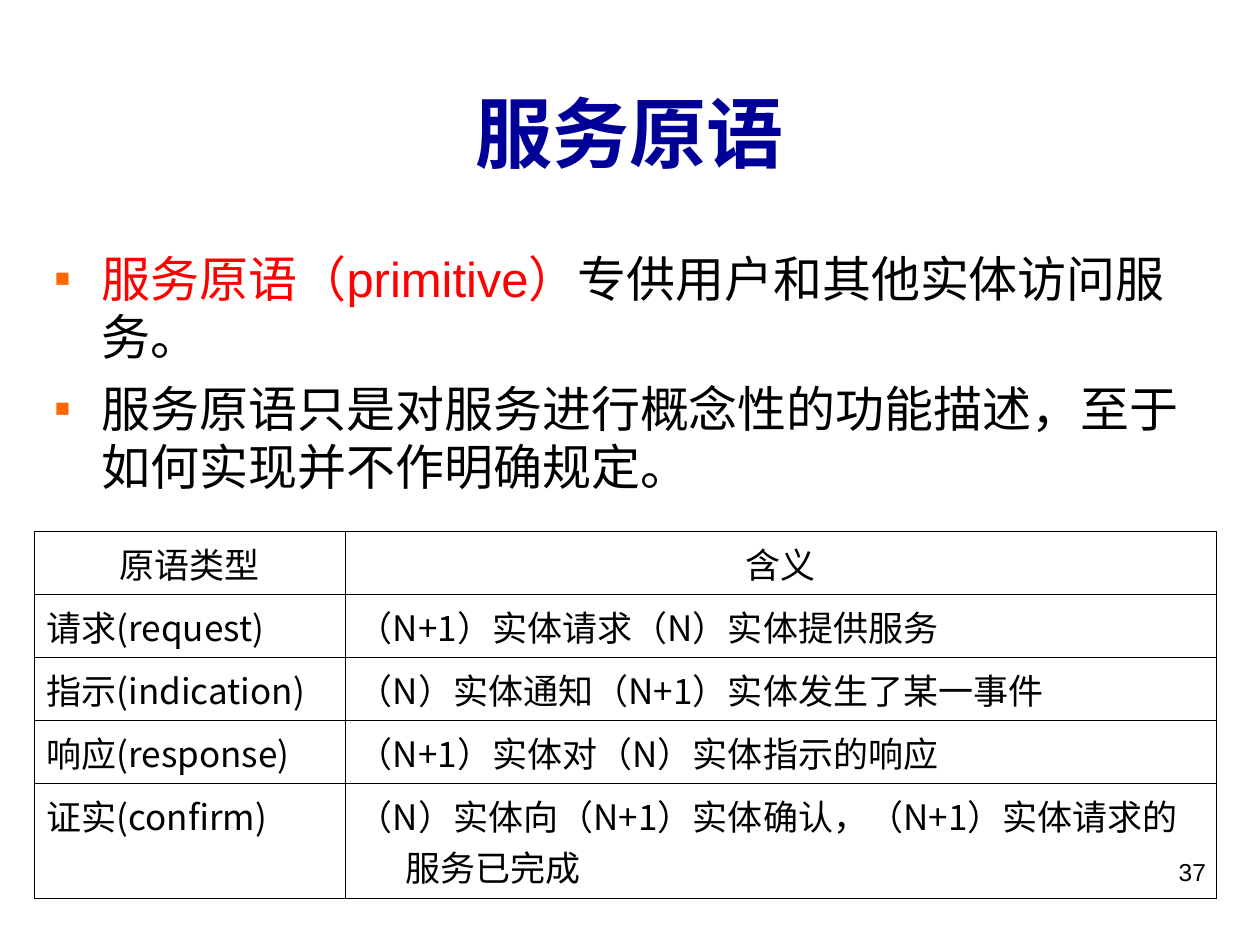
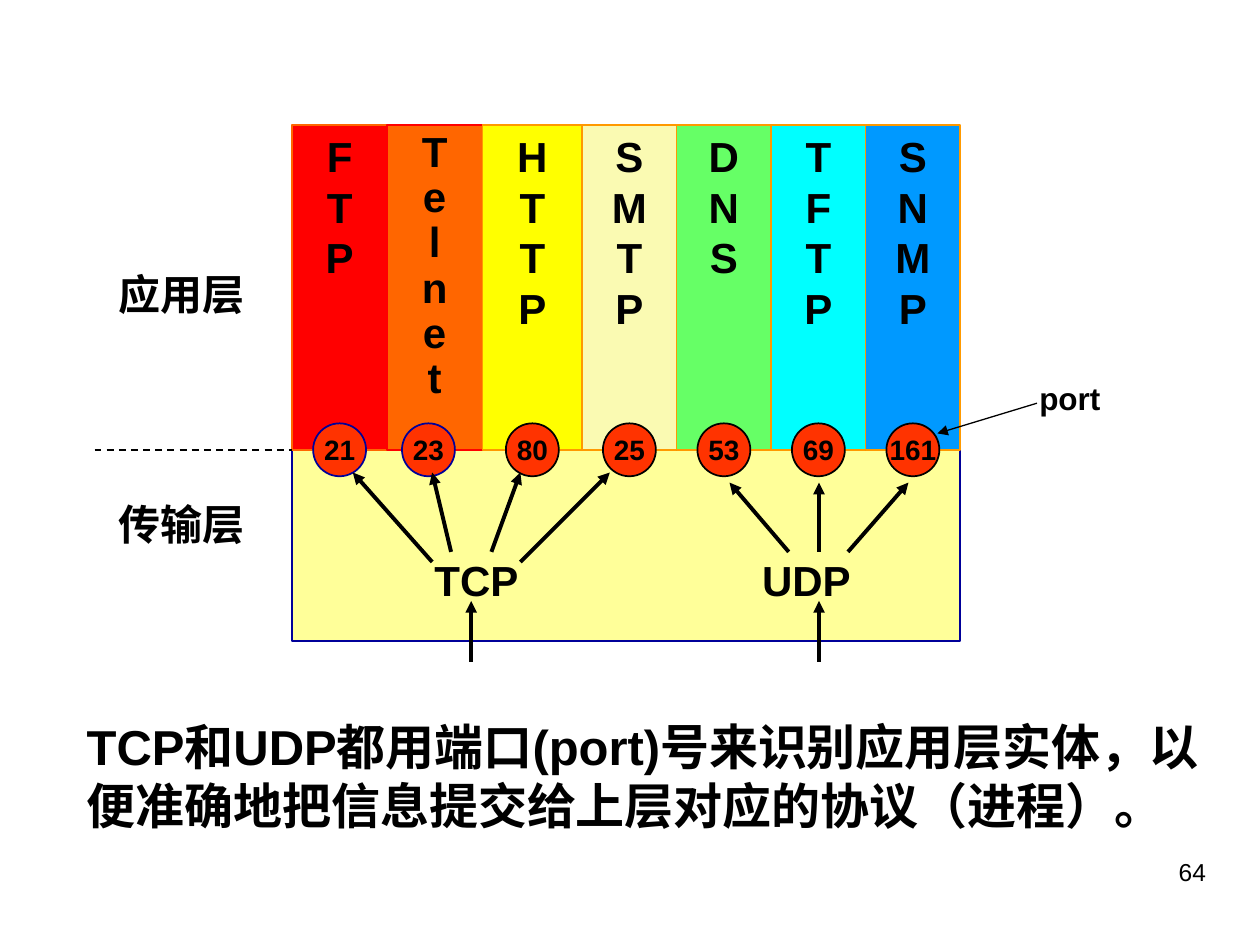
from dataclasses import dataclass
from itertools import accumulate

from lxml.etree import SubElement
from pptx import Presentation
from pptx.dml.color import RGBColor
from pptx.enum.dml import MSO_LINE
from pptx.enum.shapes import MSO_CONNECTOR, MSO_SHAPE
from pptx.enum.text import MSO_ANCHOR as ANCHOR, PP_ALIGN as ALIGN
from pptx.oxml.ns import qn
from pptx.util import Inches, Pt


@dataclass(frozen=True)
class Theme:
    latin: str = "Arial"
    table_font: str = "Noto Sans CJK SC"
    ink: str = "000000"
    navy: str = "000099"
    accent: str = "FF0000"
    bullet: str = "FF6600"
    port: str = "FF3300"
    transport: str = "FFFF99"
    edge: str = "FF9900"
    title: int = 44
    body: int = 28
    label: int = 24
    cell: int = 20
    note: int = 18
    port_size: int = 16
    page: int = 14
    hang: float = 0.38


T = Theme()

# Slide 1: paragraphs are lists of (text, colour) runs
TITLE = "服务原语"
POINTS = [
    [("服务原语（primitive）", T.accent), ("专供用户和其他实体访问服务。", T.ink)],
    [("服务原语只是对服务进行概念性的功能描述，至于如何实现并不作明确规定。", T.ink)],
]
PRIMITIVES = [
    ("原语类型", "含义"),
    ("请求(request)", "（N+1）实体请求（N）实体提供服务"),
    ("指示(indication)", "（N）实体通知（N+1）实体发生了某一事件"),
    ("响应(response)", "（N+1）实体对（N）实体指示的响应"),
    ("证实(confirm)", "（N）实体向（N+1）实体确认，（N+1）实体请求的服务已完成"),
]
TABLE_COLS = (2.47, 6.91)
TABLE_ROWS = (0.5, 0.5, 0.5, 0.5, 0.91)

# Slide 2: name, port, column width, fill, edge, port edge
PROTOCOLS = [
    ("FTP", "21", 0.75, "FF0000", "FF6600", T.navy),
    ("Telnet", "23", 0.76, "FF6600", "FF0000", T.navy),
    ("HTTP", "80", 0.79, "FFFF00", T.edge, T.ink),
    ("SMTP", "25", 0.75, "FAFAB2", T.edge, T.ink),
    ("DNS", "53", 0.75, "66FF66", T.edge, T.ink),
    ("TFTP", "69", 0.75, "00FFFF", T.edge, T.ink),
    ("SNMP", "161", 0.75, "0099FF", T.edge, T.ink),
]
STACK_LEFT, STACK_TOP, BOUNDARY, STACK_BOTTOM = 2.32, 0.99, 3.57, 5.09
PORT_D = 0.42
LABELS = [  # text, left, top, width, size
    ("应用层", 0.84, 2.08, 1.25, T.label),
    ("传输层", 0.84, 3.91, 1.25, T.label),
    ("TCP", 3.35, 4.35, 1, T.label),
    ("UDP", 5.95, 4.35, 1, T.label),
    ("port", 8.15, 2.96, 0.8, T.note),
]
ARROWS = [  # start, end
    ((3.43, 4.46), (2.8, 3.75)),
    ((3.58, 4.38), (3.43, 3.75)),
    ((3.9, 4.38), (4.13, 3.75)),
    ((4.13, 4.46), (4.84, 3.75)),
    ((6.26, 4.38), (5.79, 3.83)),
    ((6.5, 4.38), (6.5, 3.83)),
    ((6.73, 4.38), (7.21, 3.83)),
    ((3.74, 5.25), (3.74, 4.77)),
    ((6.5, 5.25), (6.5, 4.77)),
]
SUMMARY = ("TCP和UDP都用端口(port)号来识别应用层实体，"
           "以便准确地把信息提交给上层对应的协议（进程）。")


def rgb(color):
    return RGBColor.from_string(color)


def inches(*values):
    return [Inches(v) for v in values]


def add_run(p, text, size, color=T.ink, bold=False, font=T.latin):
    r = p.add_run()
    r.text = text
    r.font.name, r.font.size, r.font.bold = font, Pt(size), bold
    r.font.color.rgb = rgb(color)
    SubElement(r.font._element, qn("a:ea"), typeface=font)


def set_hanging(p, bullet=None):
    pPr = p._p.get_or_add_pPr()
    pPr.set("marL", str(Inches(T.hang)))
    pPr.set("indent", str(-Inches(T.hang)))
    if bullet:
        clr = SubElement(pPr, qn("a:buClr"))
        SubElement(clr, qn("a:srgbClr"), val=T.bullet)
        SubElement(pPr, qn("a:buFont"), typeface=T.latin)
        SubElement(pPr, qn("a:buChar"), char=bullet)


def fill_text(tf, paragraphs, size, bold=True, align=ALIGN.LEFT,
              leading=1.0, before=0, bullet=None):
    """Write paragraphs, each a list of (text, colour) runs."""
    for i, runs in enumerate(paragraphs):
        p = tf.add_paragraph() if i else tf.paragraphs[0]
        p.alignment, p.line_spacing = align, leading
        if i and before:
            p.space_before = Pt(before)
        if bullet:
            set_hanging(p, bullet)
        for text, color in runs:
            add_run(p, text, size, color, bold)


def add_text(s, box, paragraphs, size, **style):
    tf = s.shapes.add_textbox(*inches(*box)).text_frame
    tf.word_wrap = True
    fill_text(tf, paragraphs, size, **style)


def add_page_number(s, number):
    add_text(s, (7.17, 6.75, 2.5, 0.52), [[(number, T.ink)]], T.page,
             bold=False, align=ALIGN.RIGHT)


def add_block(s, kind, box, fill, edge):
    sp = s.shapes.add_shape(kind, *inches(*box))
    sp.shadow.inherit = False
    sp.fill.solid()
    sp.fill.fore_color.rgb = rgb(fill)
    sp.line.color.rgb = rgb(edge)
    sp.line.width = Pt(1)
    sp.text_frame.word_wrap = False
    return sp


def add_line(s, start, end, width, arrow=True):
    ln = s.shapes.add_connector(MSO_CONNECTOR.STRAIGHT, *inches(*start, *end))
    ln.line.color.rgb = rgb(T.ink)
    ln.line.width = Pt(width)
    SubElement(ln._element.spPr, qn("a:effectLst"))
    if arrow:
        SubElement(ln.line._get_or_add_ln(), qn("a:tailEnd"), type="triangle")
    else:
        ln.line.dash_style = MSO_LINE.DASH


def outline_cell(cell):
    tcPr = cell._tc.get_or_add_tcPr()
    for side in ("a:lnL", "a:lnR", "a:lnT", "a:lnB"):
        ln = SubElement(tcPr, qn(side), w=str(Pt(0.45)))
        SubElement(SubElement(ln, qn("a:solidFill")), qn("a:srgbClr"), val=T.ink)
    cell.fill.background()


def add_primitive_table(s):
    box = inches(0.27, 4.22, sum(TABLE_COLS), sum(TABLE_ROWS))
    table = s.shapes.add_table(len(TABLE_ROWS), len(TABLE_COLS), *box).table
    table.first_row = table.horz_banding = False
    for col, width in zip(table.columns, TABLE_COLS):
        col.width = Inches(width)
    for i, (row, height) in enumerate(zip(table.rows, TABLE_ROWS)):
        row.height = Inches(height)
        for cell, text in zip(row.cells, PRIMITIVES[i]):
            outline_cell(cell)
            p = cell.text_frame.paragraphs[0]
            p.alignment = ALIGN.LEFT if i else ALIGN.CENTER
            set_hanging(p)
            add_run(p, text, T.cell, font=T.table_font)


def build_primitives(prs):
    s = prs.slides.add_slide(prs.slide_layouts[5])
    title = s.shapes.title
    title.left, title.top, title.width, title.height = inches(0.33, 0.42, 9.34, 1.25)
    tf = title.text_frame
    tf.vertical_anchor = ANCHOR.MIDDLE
    fill_text(tf, [[(TITLE, T.navy)]], T.title, align=ALIGN.CENTER)
    add_text(s, (0.33, 1.92, 9.32, 2.46), POINTS, T.body, bold=False,
             before=7, bullet="▪")
    add_primitive_table(s)
    add_page_number(s, "37")


def build_ports(prs):
    s = prs.slides.add_slide(prs.slide_layouts[6])
    widths = [row[2] for row in PROTOCOLS]
    lefts = list(accumulate(widths, initial=STACK_LEFT))
    add_block(s, MSO_SHAPE.RECTANGLE,
              (STACK_LEFT, BOUNDARY, sum(widths), STACK_BOTTOM - BOUNDARY),
              T.transport, T.navy)
    for left, (name, _, width, fill, edge, _) in zip(lefts, PROTOCOLS):
        sp = add_block(s, MSO_SHAPE.RECTANGLE,
                       (left, STACK_TOP, width, BOUNDARY - STACK_TOP), fill, edge)
        sp.text_frame.vertical_anchor = ANCHOR.TOP
        fill_text(sp.text_frame, [[(ch, T.ink)] for ch in name], T.label,
                  align=ALIGN.CENTER, leading=0.9 if len(name) > 4 else 1.0)
    add_line(s, (0.75, BOUNDARY), (STACK_LEFT, BOUNDARY), 1, arrow=False)
    for left, (name, port, width, _, _, edge) in zip(lefts, PROTOCOLS):
        nudge = -0.05 if name == "Telnet" else 0
        sp = add_block(s, MSO_SHAPE.OVAL,
                       (left + (width - PORT_D) / 2 + nudge,
                        BOUNDARY - PORT_D / 2, PORT_D, PORT_D), T.port, edge)
        sp.text_frame.vertical_anchor = ANCHOR.MIDDLE
        fill_text(sp.text_frame, [[(port, T.ink)]], T.port_size, align=ALIGN.CENTER)
    for text, left, top, width, size in LABELS:
        add_text(s, (left, top, width, 0.5), [[(text, T.ink)]], size)
    for start, end in ARROWS:
        add_line(s, start, end, 2.25)
    add_line(s, (8.23, 3.2), (7.44, 3.44), 0.75)
    add_text(s, (0.59, 5.64, 9.14, 1.04), [[(SUMMARY, T.ink)]], T.body)
    add_page_number(s, "64")


def main():
    prs = Presentation()
    prs.slide_width, prs.slide_height = inches(10, 7.5)
    build_primitives(prs)
    build_ports(prs)
    prs.save("out.pptx")


if __name__ == "__main__":
    main()
